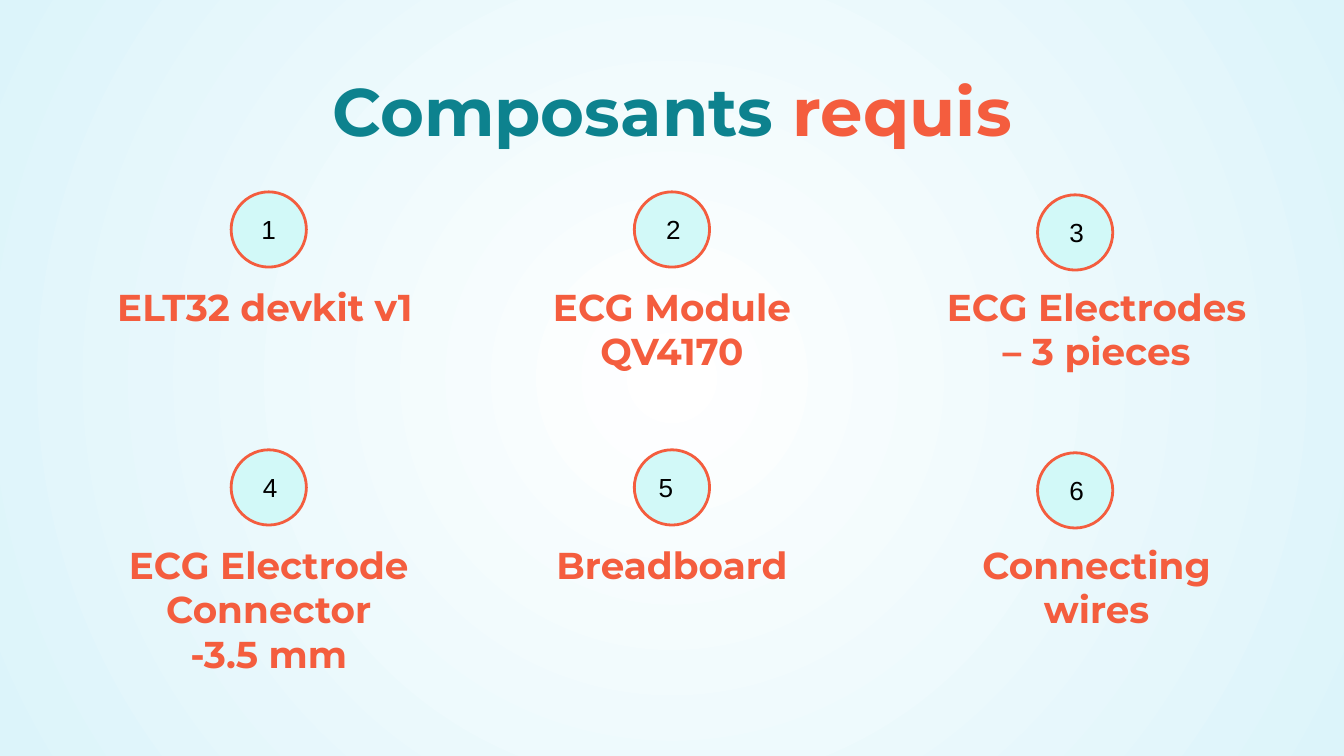
"""Build a slide that lists six required components in a numbered grid."""
from pptx import Presentation
from pptx.dml.color import RGBColor
from pptx.enum.shapes import MSO_SHAPE
from pptx.enum.text import MSO_ANCHOR, MSO_AUTO_SIZE, PP_ALIGN
from pptx.oxml import parse_xml
from pptx.oxml.ns import nsdecls, qn
from pptx.util import Pt

CENTER, LEFT = PP_ALIGN.CENTER, PP_ALIGN.LEFT
TOP, MIDDLE, BOTTOM = MSO_ANCHOR.TOP, MSO_ANCHOR.MIDDLE, MSO_ANCHOR.BOTTOM
OVAL = MSO_SHAPE.OVAL
NO_FIT = MSO_AUTO_SIZE.NONE
TEAL, ORANGE, AQUA = "0D828E", "F45D3E", "D2F9F8"
WHITE, PALE, BLACK = "FFFFFF", "DCF4FA", "000000"


def rgb(value):
    return RGBColor.from_string(value)


def write(box, *parts, size, font="Montserrat", bold=True, align=CENTER,
          anchor=TOP, margins=(0, 0, 0, 0)):
    frame = box.text_frame
    frame.word_wrap = True
    frame.auto_size = NO_FIT
    frame.vertical_anchor = anchor
    (frame.margin_left, frame.margin_top,
     frame.margin_right, frame.margin_bottom) = [Pt(m) for m in margins]
    para = frame.paragraphs[0]
    para.alignment = align
    for text, color in parts:
        span = para.add_run()
        span.text = text
        span.font.name = font
        span.font.size = Pt(size)
        span.font.bold = bold
        span.font.color.rgb = rgb(color)


deck = Presentation()
deck.slide_width, deck.slide_height = Pt(720), Pt(405)
page = deck.slides.add_slide(deck.slide_layouts[5])

background = page.background.fill
background.gradient()
for stop, color in zip(background.gradient_stops, (WHITE, PALE)):
    stop.color.rgb = rgb(color)
linear = next(page.element.iter(qn("a:lin")))
linear.getparent().replace(linear, parse_xml(
    f'<a:path {nsdecls("a")} path="circle">'
    '<a:fillToRect l="50000" t="50000" r="50000" b="50000"/></a:path>'))

title = page.shapes.title
title.left, title.top, title.width, title.height = Pt(56), Pt(35), Pt(608), Pt(45.2)
write(title, ("Composants ", TEAL), ("requis", ORANGE), size=36, anchor=BOTTOM)

components = [
    ("ELT32 devkit v1", 56.2, 171.4, 10.35),
    ("ECG Module QV4170", 284.4, 151.2, 11.1),
    ("ECG Electrodes – 3 pieces", 500.4, 174.2, 11.1),
    ("ECG Electrode Connector -3.5 mm", 68.4, 151.2, 11.1),
    ("Breadboard", 284.4, 151.2, 7.2),
    ("Connecting wires", 500.4, 174.2, 11.1),
]
diameter, row_step, column_step = 40.3, 138.2, 216

for index, (name, left, width, digit_inset) in enumerate(components):
    row, column = divmod(index, 3)
    label = page.shapes.add_textbox(
        Pt(left), Pt(152 + row * row_step), Pt(width), Pt(31.7))
    write(label, (name, ORANGE), size=20)

    drop = 1.6 if column == 2 else 0
    badge = page.shapes.add_shape(
        OVAL, Pt(123.85 + column * column_step), Pt(102.8 + row * row_step + drop),
        Pt(diameter), Pt(diameter))
    badge.shadow.inherit = False
    badge.fill.solid()
    badge.fill.fore_color.rgb = rgb(AQUA)
    badge.line.color.rgb = rgb(ORANGE)
    badge.line.width = Pt(1.5)
    write(badge, (str(index + 1), BLACK), size=14, font="Arial", bold=False,
          align=LEFT, anchor=MIDDLE, margins=(digit_inset, 7.2, 7.2, 7.2))

deck.save("out.pptx")
